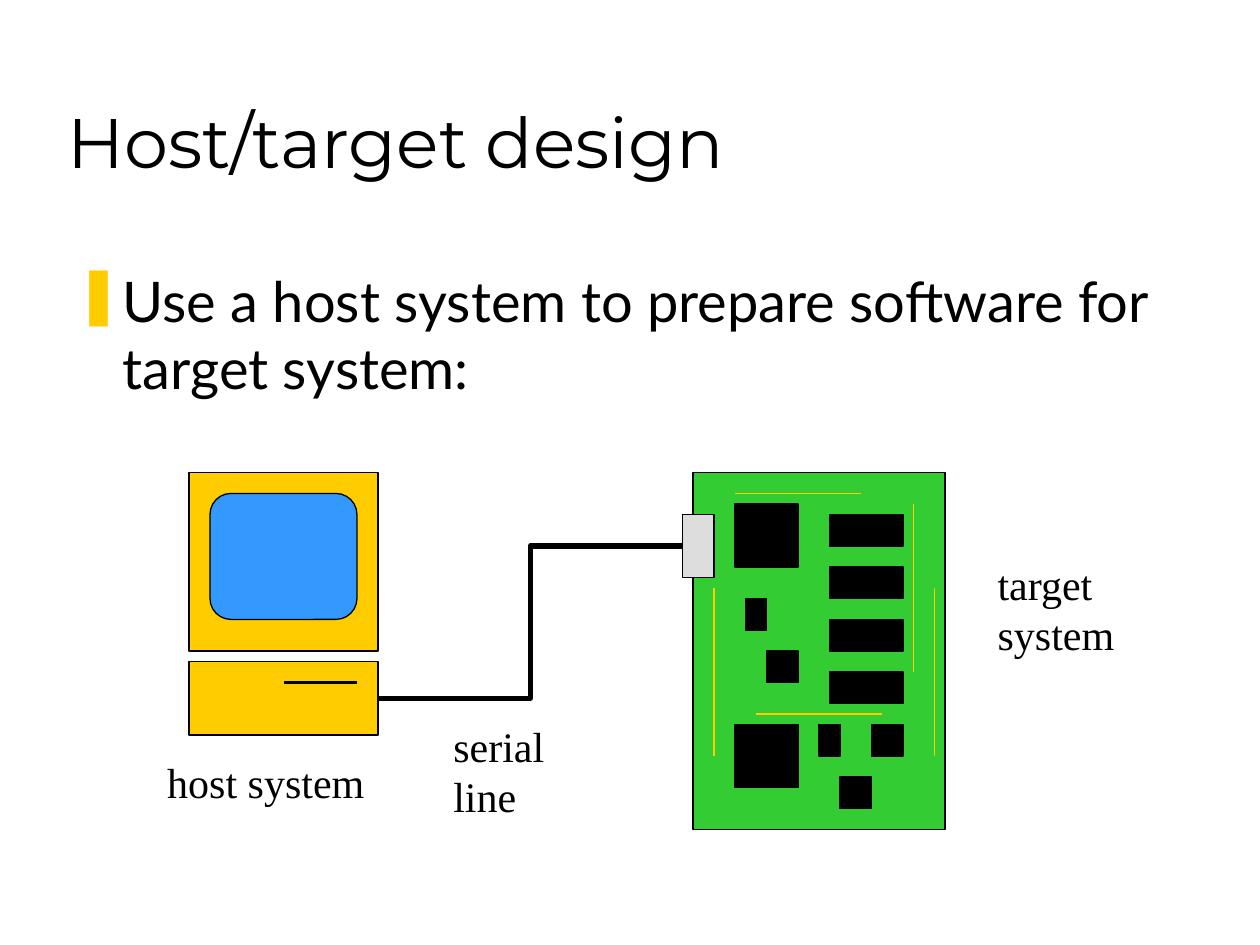
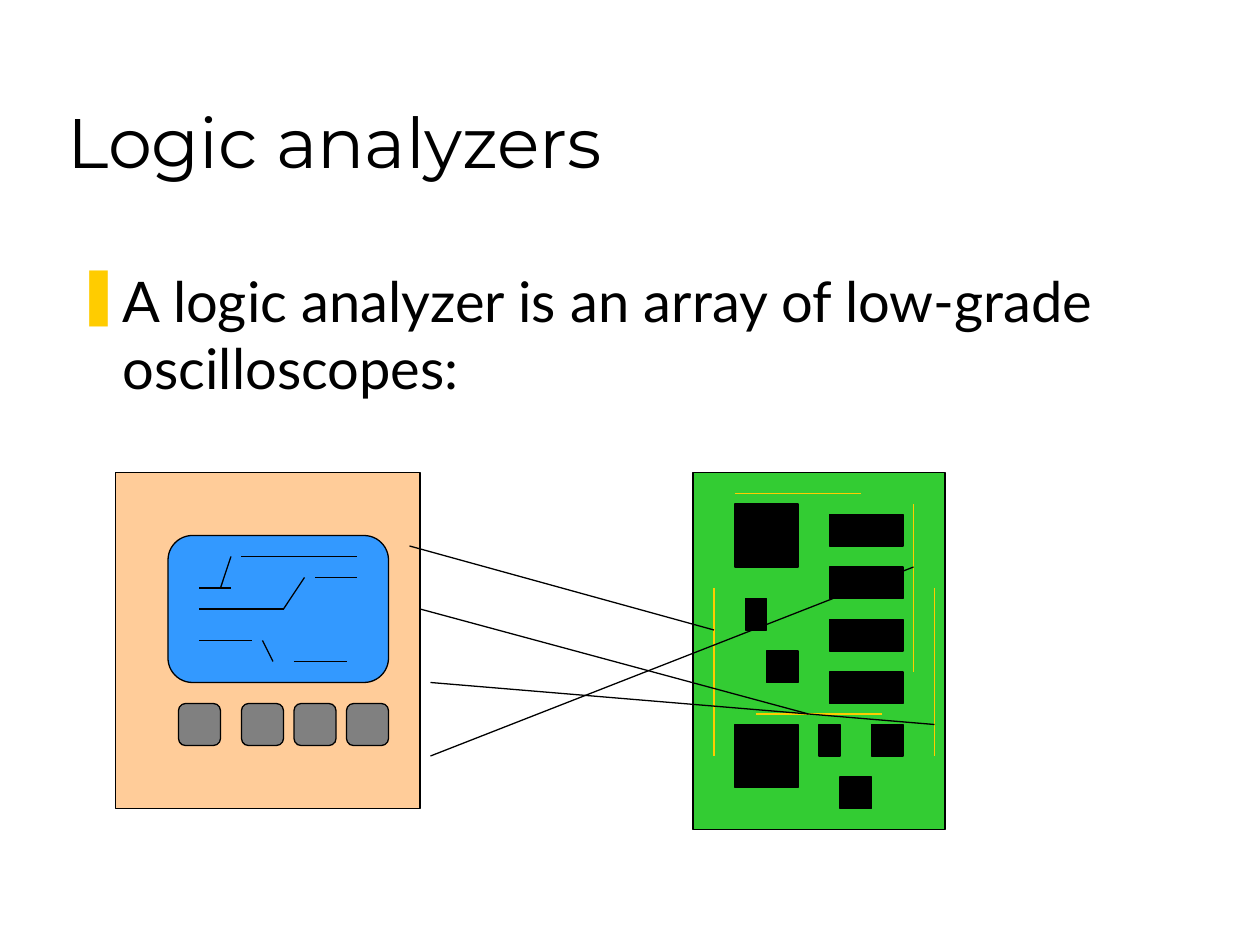
from dataclasses import dataclass

from lxml import etree
from pptx import Presentation
from pptx import util as u
from pptx.dml import color
from pptx.enum import shapes, text
from pptx.oxml import ns

Pt = u.Pt
RECT = shapes.MSO_SHAPE.RECTANGLE
ROUND = shapes.MSO_SHAPE.ROUNDED_RECTANGLE
STRAIGHT = shapes.MSO_CONNECTOR.STRAIGHT
ELBOW = shapes.MSO_CONNECTOR.ELBOW


@dataclass(frozen=True)
class Theme:
    ink: str = "000000"
    gold: str = "FFCC00"
    board: str = "33CC33"
    screen: str = "3399FF"
    port: str = "DDDDDD"
    case: str = "FFCC99"
    key: str = "808080"
    title: tuple = ("Montserrat", 40)
    body: tuple = ("Lato", 32)
    label: tuple = ("Times New Roman", 24)
    thin: float = 0.75
    slot: float = 2.25
    cable: float = 3
    hang: float = 27


def put(item, vals):
    for name, val in vals.items():
        setattr(item, name, val)


def rgb(code):
    return color.RGBColor.from_string(code)


class Deck:
    def __init__(self, theme):
        self.theme = theme
        self.show = Presentation()
        put(self.show, {"slide_width": Pt(720), "slide_height": Pt(540)})
        self.slide = None

    def page(self, title, body, height):
        self.slide = self.show.slides.add_slide(self.show.slide_layouts[6])
        self.words(title, (31.5, 18, 612, 90), self.theme.title,
                   vertical_anchor=text.MSO_ANCHOR.BOTTOM)
        frame = self.words(body, (36, 148.5, 644, height), self.theme.body)
        self.bullet(frame.paragraphs[0])

    def words(self, copy, box, style, **form):
        frame = self.slide.shapes.add_textbox(*map(Pt, box)).text_frame
        put(frame, {"word_wrap": True, "text": copy, **form})
        face, size = style
        for para in frame.paragraphs:
            for run in para.runs:
                put(run.font, {"name": face, "size": Pt(size)})
                run.font.color.rgb = rgb(self.theme.ink)
        return frame

    def label(self, copy, box):
        self.words(copy, box, self.theme.label, word_wrap=False,
                   auto_size=text.MSO_AUTO_SIZE.SHAPE_TO_FIT_TEXT)

    def bullet(self, para):
        props = para._p.get_or_add_pPr()
        hang = Pt(self.theme.hang)
        props.set("marL", str(hang))
        props.set("indent", str(-hang))
        tint = etree.SubElement(props, ns.qn("a:buClr"))
        etree.SubElement(tint, ns.qn("a:srgbClr"), val=self.theme.gold)
        etree.SubElement(props, ns.qn("a:buChar"), char="❚")

    def shape(self, box, fill, kind=RECT):
        item = self.slide.shapes.add_shape(kind, *map(Pt, box))
        item.shadow.inherit = False
        item.fill.solid()
        item.fill.fore_color.rgb = rgb(fill)
        self.stroke(item.line, self.theme.ink, self.theme.thin)
        return item

    def stroke(self, line, tint, width):
        line.color.rgb = rgb(tint)
        line.width = Pt(width)

    def line(self, ends, tint=None, width=None, kind=STRAIGHT):
        item = self.slide.shapes.add_connector(kind, *map(Pt, ends))
        self.stroke(item.line, tint or self.theme.ink, width or self.theme.thin)
        etree.SubElement(item._element.spPr, ns.qn("a:effectLst"))
        return item

    def cable(self, start, end):
        item = self.line((216, 399, 390, 312), width=self.theme.cable, kind=ELBOW)
        item.begin_connect(start, 3)
        item.end_connect(end, 1)

    def board(self):
        self.shape((396, 270, 144, 204), self.theme.board)
        chips = [(420, top, 36, 36) for top in (288, 414)]
        chips += [(474, 294 + 30 * row, 42, 18) for row in range(4)]
        chips += [(left, top, 12, 18) for left, top in ((426, 342), (468, 414))]
        chips += [(left, top, 18, 18)
                  for left, top in ((438, 372), (498, 414), (480, 444))]
        for chip in chips:
            self.shape(chip, self.theme.ink)
        for left, top in ((522, 288), (408, 336), (534, 336)):
            self.line((left, top, left, top + 96), self.theme.gold)
        for left, top in ((432, 408), (420, 282)):
            self.line((left + 72, top, left, top), self.theme.gold)


def host(deck):
    theme = deck.theme
    deck.page("Host/target design",
              "Use a host system to prepare software for target system:", 91.5)
    deck.board()
    deck.label("target\nsystem", (563, 315.5, 81, 65))
    deck.shape((108, 270, 108, 102), theme.gold)
    deck.shape((120, 282, 84, 72), theme.screen, ROUND)
    base = deck.shape((108, 378, 108, 42), theme.gold)
    deck.line((162, 390, 204, 390), width=theme.slot)
    deck.label("host system", (88.5, 429, 127, 36))
    port = deck.shape((390, 294, 18, 36), theme.port)
    deck.cable(base, port)
    deck.label("serial line", (252, 408, 108, 36))


def logic(deck):
    theme = deck.theme
    deck.page("Logic analyzers",
              "A logic analyzer is an array of low-grade oscilloscopes:", 122)
    deck.board()
    deck.shape((66, 270, 174, 192), theme.case)
    probes = ((234, 312, 408, 360), (240, 348, 462, 408),
              (246, 390, 534, 414), (246, 432, 522, 324))
    for probe in probes:
        deck.line(probe)
    deck.shape((96, 306, 126, 84), theme.screen, ROUND)
    waves = ((114, 336, 132, 336), (126, 336, 132, 318), (138, 318, 204, 318),
             (114, 348, 162, 348), (162, 348, 174, 330), (180, 330, 204, 330),
             (114, 366, 144, 366), (150, 366, 156, 378), (168, 378, 198, 378))
    for wave in waves:
        deck.line(wave)
    for left in (102, 138, 168, 198):
        deck.shape((left, 402, 24, 24), theme.key, ROUND)


def main():
    deck = Deck(Theme())
    host(deck)
    logic(deck)
    deck.show.save("out.pptx")


if __name__ == "__main__":
    main()
